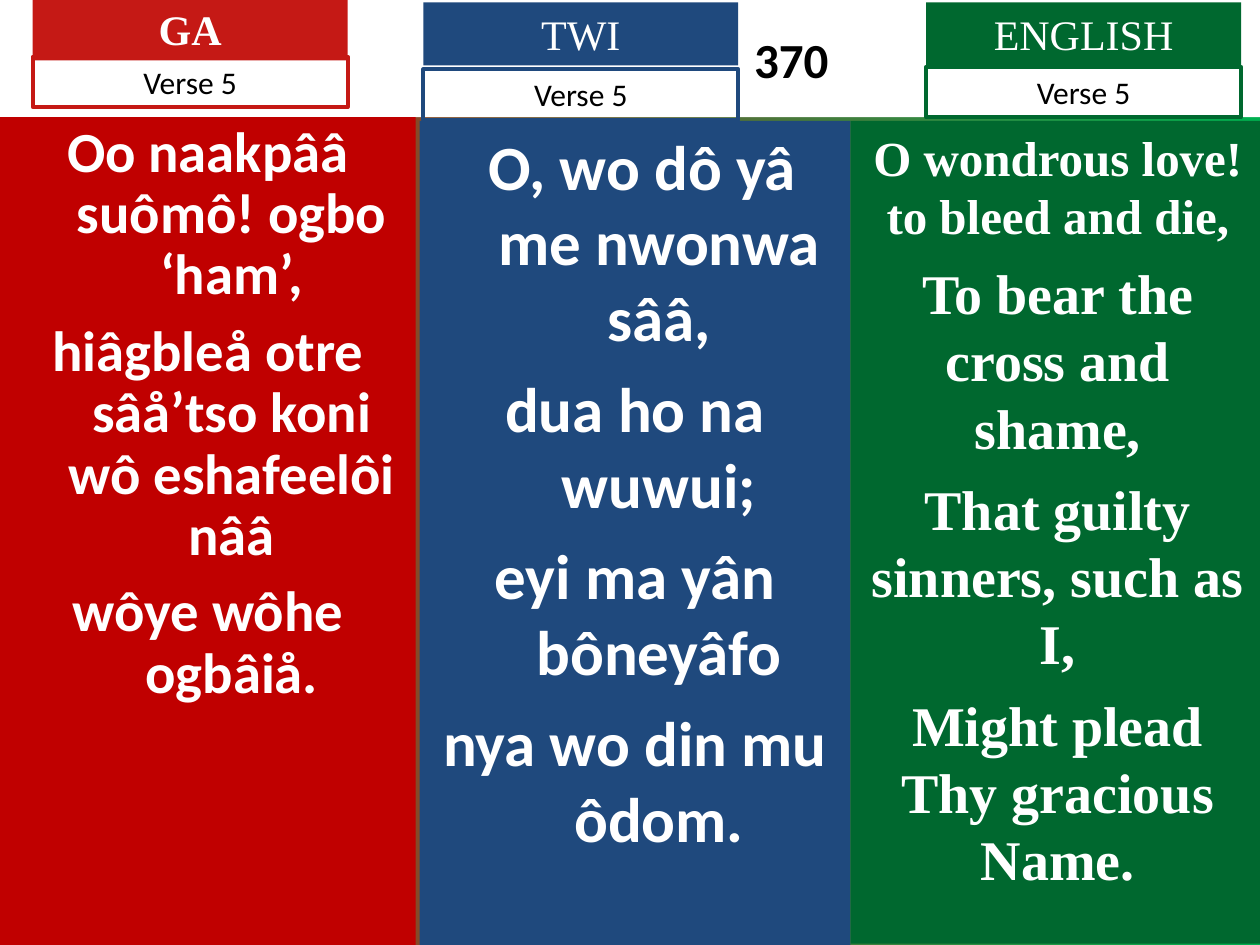
from pptx import Presentation
from pptx import util as u
from pptx.dml.color import RGBColor
from pptx.enum import shapes, text

C = {"ga": "C51915", "ga_body": "C00000", "twi": "1F497D", "english": "00682F",
     "end": "00B050", "white": "FFFFFF", "black": "000000"}
SERIF, SANS = "Times New Roman", "Calibri"

prs = Presentation()
prs.slide_width, prs.slide_height = u.Inches(10), u.Inches(7.5)
COL, ROW = prs.slide_width / 100, prs.slide_height / 75
s = prs.slides.add_slide(prs.slide_layouts[6])

bg = s.background.fill
bg.gradient()
bg.gradient_angle = 0
for stop, key in zip(bg.gradient_stops, ("ga", "end")):
    stop.color.rgb = RGBColor.from_string(C[key])


def box(x, y, w, h, fill=None, line=None):
    sp = s.shapes.add_shape(shapes.MSO_SHAPE.RECTANGLE, *(
        round(n) for n in (x * COL, y * ROW, w * COL, h * ROW)))
    sp.shadow.inherit = False
    if fill:
        sp.fill.solid()
        sp.fill.fore_color.rgb = RGBColor.from_string(C[fill])
    else:
        sp.fill.background()
    if line:
        sp.line.color.rgb = RGBColor.from_string(C[line])
        sp.line.width = u.Pt(2.25)
    else:
        sp.line.fill.background()
    sp.text_frame.word_wrap = True
    sp.text_frame.vertical_anchor = text.MSO_ANCHOR.TOP
    return sp


def write(sp, lines, size, font, color, bold=False):
    tf = sp.text_frame
    tf.text = "\n".join(lines)
    for p in tf.paragraphs:
        p.alignment = text.PP_ALIGN.CENTER
        for r in p.runs:
            r.font.size, r.font.name, r.font.bold = u.Pt(size), font, bold
            r.font.color.rgb = RGBColor.from_string(C[color])
    return tf.paragraphs


band = box(0, 0, 100, 9.3, "white")
band.text_frame.margin_left = round(26.6 * COL)
band.text_frame.vertical_anchor = text.MSO_ANCHOR.MIDDLE
write(band, ["370"], 28, SANS, "black", True)

verses = [
    ((0, 9.3, 33, 65.7), "ga_body", SANS, 32.4, 8.8, 0.9, 3.8,
     ["Oo naakpââ suômô! ogbo ‘ham’,",
      "hiâgbleå otre sâå’tso koni wô eshafeelôi nââ",
      "wôye wôhe ogbâiå."]),
    ((33.3, 9.6, 34.2, 65.4), "twi", SANS, 36, 9, 1.0, 3.8,
     [" O, wo dô yâ me nwonwa sââ,", "dua ho na wuwui;",
      "eyi ma yân bôneyâfo", "nya wo din mu ôdom."]),
    ((67.5, 9.6, 32.9, 65.3), "english", SERIF, 32, 8, 1.0, 0,
     ["O wondrous love! to bleed and die,", "To bear the cross and shame,",
      "That guilty sinners, such as I,", "Might plead Thy gracious Name."]),
]
for area, fill, font, size, gap, spacing, hang, lines in verses:
    paragraphs = write(box(*area, fill), lines, size, font, "white", True)
    for i, p in enumerate(paragraphs):
        p.line_spacing = spacing
        p.space_before = u.Pt(gap if i else 0)
        if hang:
            pPr = p._p.get_or_add_pPr()
            pPr.set("marL", str(round(hang * COL)))
            pPr.set("indent", str(round(-hang * COL)))
paragraphs[0].runs[0].font.size = u.Pt(28)

headers = [("GA", "ga", 2.6, -0.2, 4.5, True),
           ("TWI", "twi", 33.6, 0.2, 5.5, False),
           ("ENGLISH", "english", 73.5, 0.2, 5.3, False)]
for name, color, x, top, verse_top, bold in headers:
    write(box(x, top, 25, 5, color), [name], 24, SERIF, "white", bold)
    write(box(x, verse_top, 25, 4, None, color), ["Verse 5"], 18, SANS, "black")

prs.save("out.pptx")
